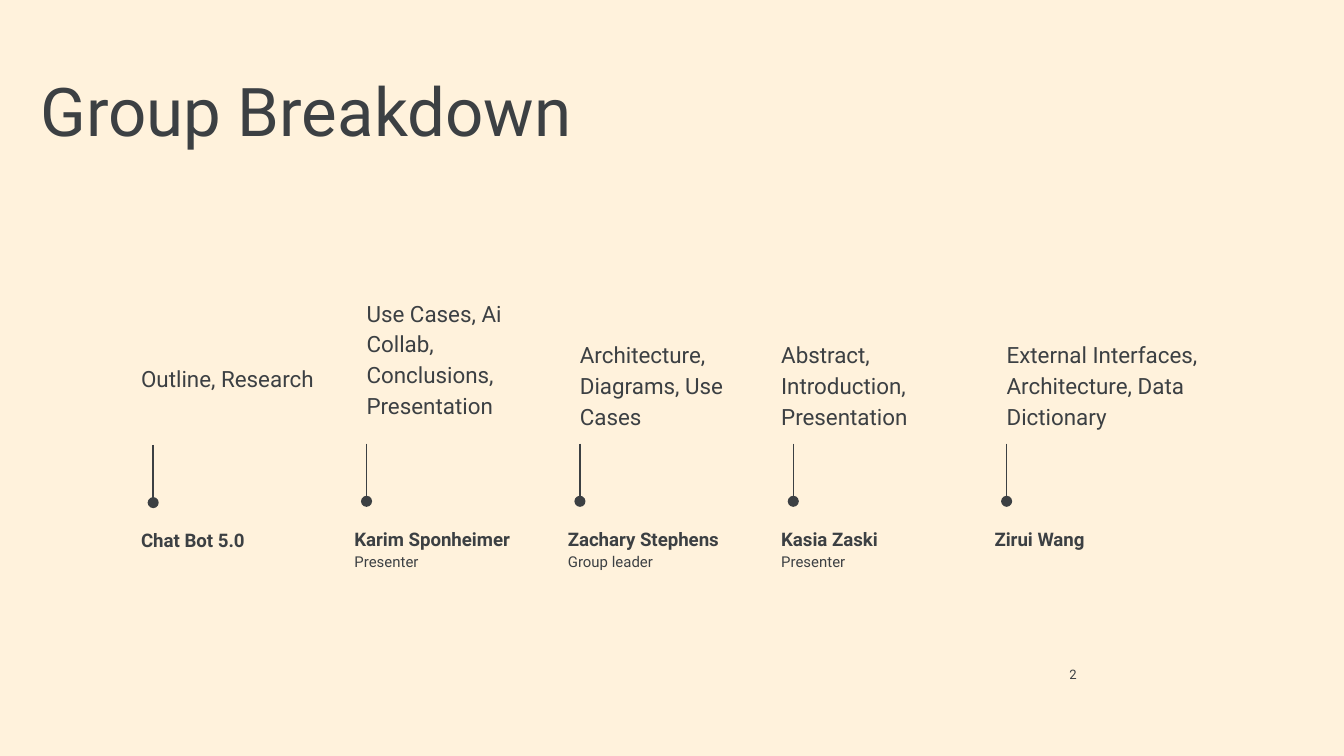
from dataclasses import dataclass
from lxml.etree import SubElement
from pptx import Presentation
from pptx.dml.color import RGBColor as Rgb
from pptx.enum.shapes import MSO_CONNECTOR as Conn
from pptx.enum.text import MSO_ANCHOR as Anchor, PP_ALIGN as Align
from pptx.oxml.ns import qn
from pptx.slide import Slide
from pptx.text.text import TextFrame
from pptx.util import Inches, Pt

FONT = "Roboto"
INK = "3C4043"
CREAM = "FFF2DC"
WIDTH = 10
HEIGHT = WIDTH * 9 / 16
START, END = 1.14, 7.49
INDENT = 0.09


@dataclass
class Member:
    name: str
    role: str
    duty: str
    top: float
    shift: float = 0
    drop: float = 0


TEAM = [
    Member("Chat Bot 5.0", "", "Outline, Research", 2.69, -INDENT, 0.01),
    Member("Karim Sponheimer", "Presenter",
           "Use Cases, Ai Collab,\nConclusions,\nPresentation", 2.2),
    Member("Zachary Stephens", "Group leader",
           "Architecture,\nDiagrams, Use Cases", 2.51),
    Member("Kasia Zaski", "Presenter",
           "Abstract, Introduction,\nPresentation", 2.51, -INDENT),
    Member("Zirui Wang", "",
           "External Interfaces, Architecture, Data Dictionary", 2.51),
]
PITCH = (END - START) / (len(TEAM) - 1)


def color(code: str) -> Rgb:
    return Rgb.from_string(code)


def add_text(slide: Slide, text: str, left: float, top: float, width: float,
             height: float, size: float, space: float = 1.15) -> TextFrame:
    box = slide.shapes.add_textbox(
        Inches(left), Inches(top), Inches(width), Inches(height))
    frame = box.text_frame
    frame.word_wrap = True
    frame.margin_left = frame.margin_right = Inches(0)
    frame.margin_top = frame.margin_bottom = Inches(0)
    frame.text = text
    for para in frame.paragraphs:
        para.line_spacing = space
        for run in para.runs:
            run.font.name = FONT
            run.font.size = Pt(size)
            run.font.color.rgb = color(INK)
    return frame


def add_pin(slide: Slide, left: float, top: float, height: float) -> None:
    pin = slide.shapes.add_connector(
        Conn.STRAIGHT, Inches(left), Inches(top),
        Inches(left), Inches(top + height))
    pin.line.color.rgb = color(INK)
    pin.line.width = Pt(0.75)
    SubElement(pin.line._get_or_add_ln(), qn("a:tailEnd"), type="oval")
    SubElement(pin._element.spPr, qn("a:effectLst"))


def add_member(slide: Slide, left: float, who: Member) -> None:
    add_text(slide, who.duty, left + who.shift, who.top, 1.46, 0.61, 12)
    add_pin(slide, left, 3.3 + who.drop, 0.43)
    label = f"{who.name}\n{who.role}" if who.role else who.name
    frame = add_text(slide, label, left - INDENT, 3.9 + who.drop,
                     1.36, 0.59, 10)
    frame.paragraphs[0].runs[0].font.bold = True
    for para in frame.paragraphs[1:]:
        para.runs[0].font.size = Pt(8)


def main() -> None:
    deck = Presentation()
    deck.slide_width, deck.slide_height = Inches(WIDTH), Inches(HEIGHT)
    slide = deck.slides.add_slide(deck.slide_layouts[6])
    fill = slide.background.fill
    fill.solid()
    fill.fore_color.rgb = color(CREAM)

    add_text(slide, "Group Breakdown", 0.3, 0.63, 7.81, 1.09, 36, 0.8)
    for i, who in enumerate(TEAM):
        add_member(slide, START + i * PITCH, who)
    page = add_text(slide, "2", 7.29, 4.91, 0.72, 0.21, 7, 1.0)
    page.vertical_anchor = Anchor.MIDDLE
    page.paragraphs[0].alignment = Align.RIGHT
    deck.save("out.pptx")


if __name__ == "__main__":
    main()
